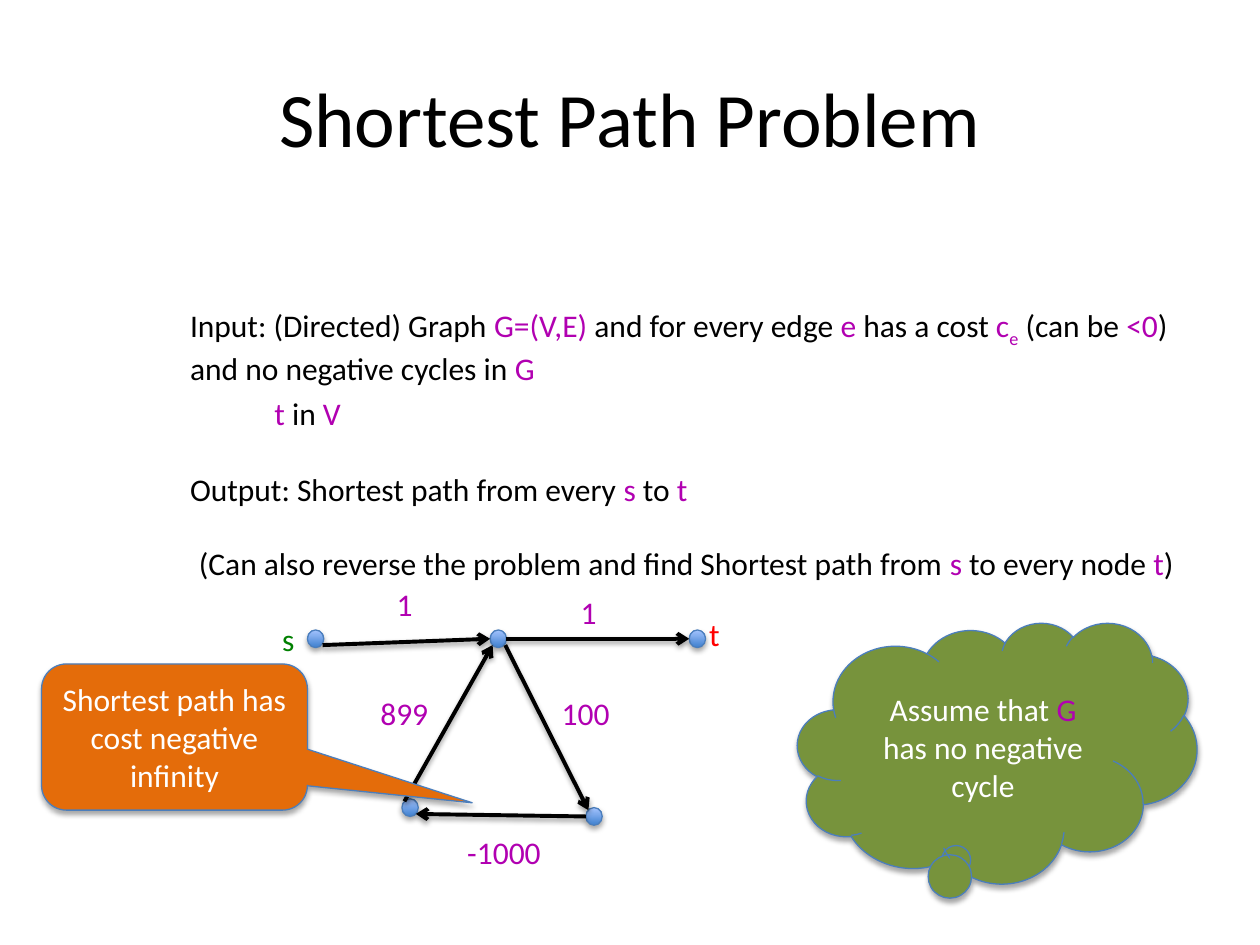
from lxml.etree import SubElement
from pptx import Presentation
from pptx.dml.color import RGBColor
from pptx.enum.shapes import MSO_CONNECTOR, MSO_SHAPE
from pptx.enum.text import MSO_ANCHOR, MSO_AUTO_SIZE, PP_ALIGN
from pptx.oxml.ns import qn
from pptx.util import Inches, Pt

BLACK = RGBColor(0x00, 0x00, 0x00)
WHITE = RGBColor(0xFF, 0xFF, 0xFF)
PURPLE = RGBColor(0xB1, 0x00, 0xB1)
GREEN = RGBColor(0x00, 0x80, 0x00)
RED = RGBColor(0xFF, 0x00, 0x00)
ORANGE = RGBColor(0xE4, 0x6C, 0x0A)
OLIVE = RGBColor(0x77, 0x93, 0x3C)
OUTLINE = RGBColor(0x4B, 0x7E, 0xBC)
NODE_DARK = RGBColor(0x3F, 0x80, 0xCE)
NODE_LIGHT = RGBColor(0xA4, 0xC4, 0xFF)

NODE_SIZE = (0.13, 0.14)
NODES = [(0.3, 0.41), (1.75, 0.41), (3.33, 0.41), (2.51, 1.82), (1.05, 1.75)]
EDGES = [
    ((0.42, 0.53), (1.75, 0.48)),
    ((1.88, 0.48), (3.33, 0.48)),
    ((1.87, 0.53), (2.53, 1.84)),
    ((2.51, 1.89), (1.16, 1.87)),
    ((1.07, 1.77), (1.77, 0.53)),
]
LABELS = [
    ("1", PURPLE, 0.91, 0, 0.33),
    ("1", PURPLE, 2.37, 0.07, 0.33),
    ("100", PURPLE, 2.22, 0.87, 0.59),
    ("-1000", PURPLE, 1.47, 1.97, 0.79),
    ("899", PURPLE, 0.78, 0.87, 0.59),
    ("s", GREEN, 0, 0.28, 0.3),
    ("t", RED, 3.39, 0.24, 0.29),
]
INPUT = [
    [("Input: (Directed) Graph ", BLACK), ("G=(V,E)", PURPLE),
     (" and for every edge ", BLACK), ("e", PURPLE), (" has a cost ", BLACK),
     ("c", PURPLE), ("e", PURPLE, -25000), (" (can be ", BLACK),
     ("<0", PURPLE), (")", BLACK)],
    [("and no negative cycles in ", BLACK), ("G", PURPLE)],
]
TARGET = [[("t", PURPLE), (" in ", BLACK), ("V", PURPLE)]]
OUTPUT = [[("Output: Shortest path from every ", BLACK), ("s", PURPLE),
           (" to ", BLACK), ("t", PURPLE)]]
REVERSE = [[("(Can also reverse the problem and find Shortest path from ", BLACK),
            ("s ", PURPLE), ("to every node ", BLACK), ("t", PURPLE), (")", BLACK)]]
CYCLE_COST = [[("Shortest path has cost negative infinity", WHITE)]]
ASSUMPTION = [[("Assume that ", WHITE), ("G", PURPLE),
               (" has no negative cycle", WHITE)]]


def write(frame, lines, size=18, align=PP_ALIGN.LEFT):
    """Fill a text frame with paragraphs of coloured runs."""
    for index, line in enumerate(lines):
        para = frame.paragraphs[0] if index == 0 else frame.add_paragraph()
        para.alignment = align
        for text, color, *baseline in line:
            span = para.add_run()
            span.text = text
            span.font.name = "Calibri"
            span.font.size = Pt(size)
            span.font.color.rgb = color
            if baseline:
                span.font._element.set("baseline", str(baseline[0]))


def add_shadow(shape, alpha, distance):
    """Give a shape or connector a soft shadow falling straight down."""
    effects = SubElement(shape._element.spPr, qn("a:effectLst"))
    outer = SubElement(effects, qn("a:outerShdw"), blurRad=str(Pt(3.1)),
                       dist=str(Pt(distance)), dir="5400000", rotWithShape="0")
    color = SubElement(outer, qn("a:srgbClr"), val=str(BLACK))
    SubElement(color, qn("a:alpha"), val=str(alpha * 1000))


def add_outline(shape):
    """Apply the thin blue outline and shadow shared by filled shapes."""
    shape.line.color.rgb = OUTLINE
    shape.line.width = Pt(0.75)
    add_shadow(shape, 35, 1.8)


def add_title(page, box):
    """Place the centred slide title."""
    frame = page.shapes.add_textbox(*map(Inches, box)).text_frame
    frame.word_wrap = True
    frame.vertical_anchor = MSO_ANCHOR.MIDDLE
    write(frame, [[("Shortest Path Problem", BLACK)]], 44, PP_ALIGN.CENTER)


def add_text(shapes, box, lines):
    """Place unwrapped text that sizes its box."""
    frame = shapes.add_textbox(*map(Inches, box)).text_frame
    frame.word_wrap = False
    frame.auto_size = MSO_AUTO_SIZE.SHAPE_TO_FIT_TEXT
    write(frame, lines)


def add_statement(page, left, top):
    """Place the input and output of the problem."""
    add_text(page.shapes, (left, top, 8.09, 0.71), INPUT)
    add_text(page.shapes, (left + 0.67, top + 0.7, 0.73, 0.4), TARGET)
    add_text(page.shapes, (left, top + 1.3, 4.19, 0.4), OUTPUT)


def add_node(shapes, left, top):
    """Draw one graph node."""
    node = shapes.add_shape(MSO_SHAPE.OVAL, *map(Inches, (left, top, *NODE_SIZE)))
    node.fill.gradient()
    node.fill.gradient_angle = 90
    for stop, color in zip(node.fill.gradient_stops, (NODE_DARK, NODE_LIGHT)):
        stop.color.rgb = color
    add_outline(node)


def add_edge(shapes, start, end):
    """Draw one directed edge."""
    edge = shapes.add_connector(MSO_CONNECTOR.STRAIGHT, *map(Inches, (*start, *end)))
    edge.line.color.rgb = BLACK
    edge.line.width = Pt(2.25)
    SubElement(edge.line._get_or_add_ln(), qn("a:tailEnd"), type="arrow")
    add_shadow(edge, 38, 1.6)


def add_graph(page, left, top):
    """Draw the example graph with its edge costs."""
    shapes = page.shapes.add_group_shape().shapes
    for x, y in NODES:
        add_node(shapes, left + x, top + y)
    for start, end in EDGES:
        add_edge(shapes, *((left + x, top + y) for x, y in (start, end)))
    for text, color, x, y, width in LABELS:
        add_text(shapes, (left + x, top + y, width, 0.4), [[(text, color)]])


def add_callout(page, box, kind, adjustments, color, lines):
    """Place a filled callout with centred text."""
    callout = page.shapes.add_shape(kind, *map(Inches, box))
    for index, value in enumerate(adjustments):
        callout.adjustments[index] = value
    callout.fill.solid()
    callout.fill.fore_color.rgb = color
    add_outline(callout)
    callout.text_frame.word_wrap = True
    callout.text_frame.vertical_anchor = MSO_ANCHOR.MIDDLE
    write(callout.text_frame, lines, align=PP_ALIGN.CENTER)


def main():
    """Build and save the slide."""
    deck = Presentation()
    deck.slide_width, deck.slide_height = Inches(10), Inches(7.5)
    page = deck.slides.add_slide(deck.slide_layouts[6])
    add_title(page, (0.5, 0.3, 9, 1.25))
    add_statement(page, 1.41, 2.38)
    add_graph(page, 2.14, 4.59)
    add_callout(page, (0.33, 5.27, 2.11, 1.16), MSO_SHAPE.ROUNDED_RECTANGULAR_CALLOUT,
                (1.12, 0.45, 0.17), ORANGE, CYCLE_COST)
    add_callout(page, (6.33, 4.94, 3.17, 2.07), MSO_SHAPE.CLOUD_CALLOUT,
                (-0.1, 0.4), OLIVE, ASSUMPTION)
    add_text(page.shapes, (1.48, 4.27, 8.09, 0.4), REVERSE)
    deck.save("out.pptx")


if __name__ == "__main__":
    main()
